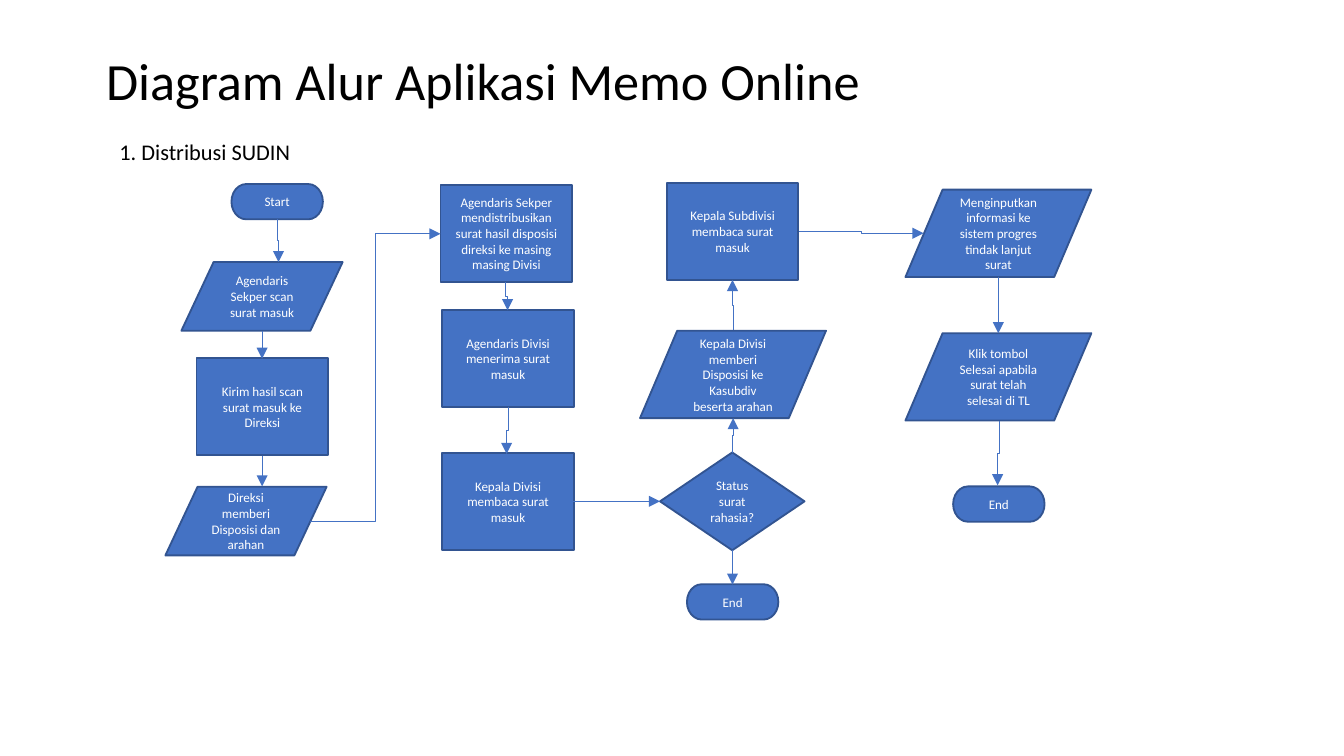
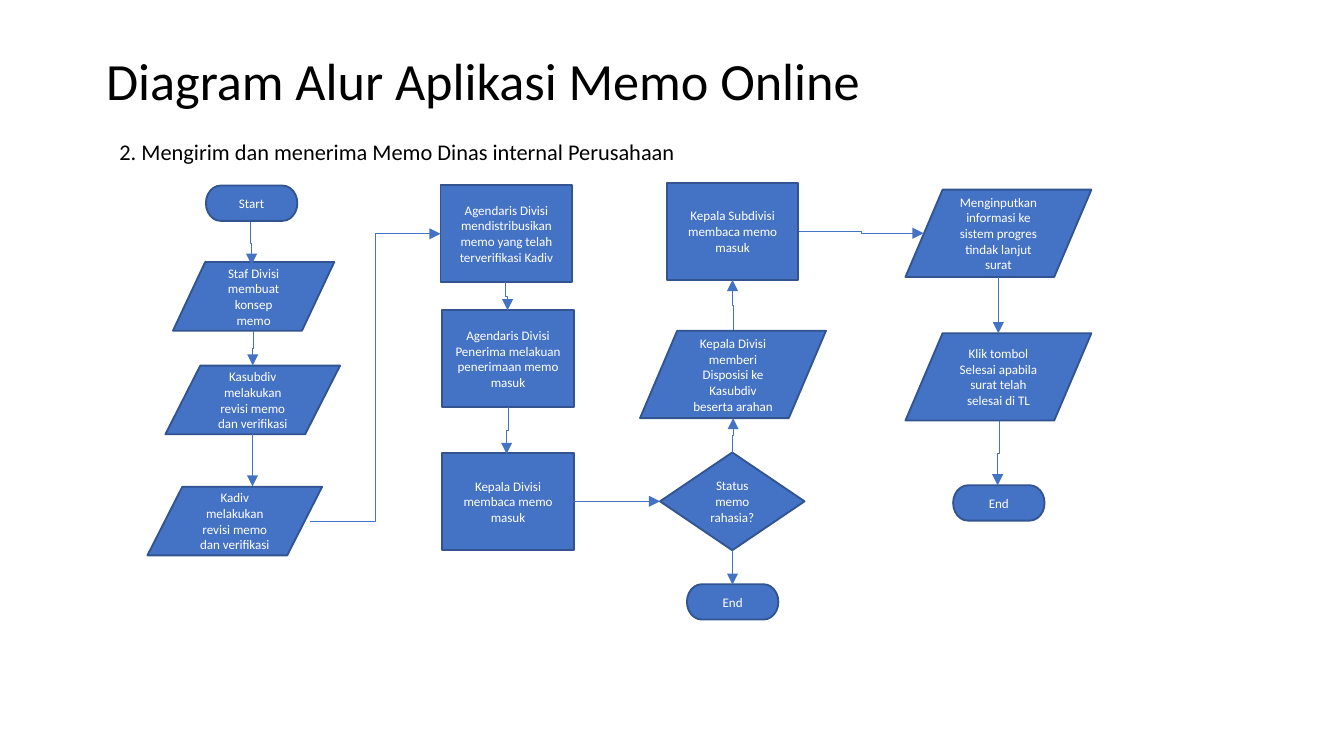
from lxml.etree import SubElement
from pptx import Presentation
from pptx.dml.color import RGBColor
from pptx.enum.shapes import MSO_CONNECTOR as CONN, MSO_SHAPE as SHAPE
from pptx.enum.text import MSO_ANCHOR as ANCHOR, MSO_AUTO_SIZE as AUTO, PP_ALIGN as ALIGN
from pptx.oxml.ns import qn
from pptx.util import Pt

# Shared style
BLUE, EDGE, BLACK, WHITE = "4472C4", "325491", "000000", "FFFFFF"
TITLE = "Diagram Alur Aplikasi Memo Online"
TITLE_BOX = (49.7, 21.6, 572.4, 46.8)
SUBTITLE_AT, SUBTITLE_H = (56.9, 70.6), 21.6

# Kind of step: preset shape, width, height
KINDS = {
    "terminal": (SHAPE.FLOWCHART_TERMINATOR, 49, 18.9),
    "process": (SHAPE.FLOWCHART_PROCESS, 70.5, 52),
    "decision": (SHAPE.FLOWCHART_DECISION, 77.4, 52.4),
    "data": (SHAPE.FLOWCHART_DATA, 86.4, 36.8),
    "wide data": (SHAPE.FLOWCHART_DATA, 93.6, 36.8),
    "tall data": (SHAPE.FLOWCHART_DATA, 99.6, 46.8),
}

# Steps on every slide: kind, left, top, text ({item} is the document handled)
COMMON_STEPS = [
    ("process", 236.9, 242.8, "Kepala Divisi membaca {item} masuk"),
    ("decision", 353.6, 242.4, "Status {item} rahasia?"),
    ("terminal", 368, 313, "End"),
    ("tall data", 342.9, 177.2, "Kepala Divisi memberi Disposisi ke Kasubdiv beserta arahan"),
    ("process", 357.2, 98, "Kepala Subdivisi membaca {item} masuk"),
    ("tall data", 485.1, 101.6, "Menginputkan informasi ke sistem progres tindak lanjut surat"),
    ("tall data", 485.1, 178.5, "Klik tombol Selesai apabila surat telah selesai di TL"),
]

# Arrows: start x, start y, end x, end y
COMMON_ARROWS = [
    (166.3, 279.3, 236, 125.3),
    (270.9, 151.2, 271.9, 166.2),
    (272.2, 218.2, 271.4, 243.2),
    (306.9, 268.6, 353.6, 268.6),
    (392.4, 294.8, 392.4, 313.2),
    (392.4, 242.6, 392.8, 224),
    (392.8, 177.1, 392.4, 150),
    (427.8, 123.8, 494.8, 125),
    (534.8, 148.5, 534.8, 178.6),
    (535.2, 225.4, 534.4, 260),
]

SLIDES = [
    {
        "subtitle": "1. Distribusi SUDIN", "width": 110.2, "item": "surat",
        "steps": [
            ("terminal", 124, 98.6, "Start"),
            ("data", 97.2, 140.4, "Agendaris Sekper scan surat masuk"),
            ("process", 105.3, 192, "Kirim hasil scan surat masuk ke Direksi"),
            ("data", 88.6, 260.8, "Direksi memberi Disposisi dan arahan"),
            ("process", 236, 99, "Agendaris Sekper mendistribusikan surat hasil disposisi "
                                 "direksi ke masing masing Divisi"),
            ("process", 236.9, 166.2, "Agendaris Divisi menerima surat masuk"),
            ("terminal", 510.6, 260.6, "End"),
        ],
        "arrows": [
            (148.5, 117.4, 149.2, 140.4),
            (140.4, 177.1, 140.4, 192.2),
            (140.6, 244.1, 140.4, 260.6),
        ],
    },
    {
        "subtitle": "2. Mengirim dan menerima Memo Dinas internal Perusahaan",
        "width": 314.6, "item": "memo",
        "steps": [
            ("terminal", 110.3, 99.4, "Start"),
            ("data", 92.7, 140.4, "Staf Divisi membuat konsep memo"),
            ("wide data", 88.6, 195.9, "Kasubdiv melakukan revisi memo dan verifikasi"),
            ("wide data", 79, 260.8, "Kadiv melakukan revisi memo dan verifikasi"),
            ("process", 236, 99, "Agendaris Divisi mendistribusikan memo yang telah "
                                 "terverifikasi Kadiv"),
            ("process", 236.9, 166.2, "Agendaris Divisi Penerima melakuan penerimaan memo masuk"),
            ("terminal", 510.6, 260, "End"),
        ],
        "arrows": [
            (134.3, 118.8, 134.8, 141.8),
            (135.6, 177.1, 135.4, 195.8),
            (135.3, 232.6, 135.3, 260.6),
        ],
    },
]


def rgb(value):
    return RGBColor.from_string(value)


def pts(*values):
    return [Pt(v) for v in values]


def write(sp, text, size, color, para=None, **frame):
    """Put one formatted paragraph into a shape."""
    tf = sp.text_frame
    for name, value in frame.items():
        setattr(tf, name, value)
    p = tf.paragraphs[0]
    for name, value in (para or {}).items():
        setattr(p, name, value)
    r = p.add_run()
    r.text = text
    for name, value in {"name": "Calibri", "size": Pt(size)}.items():
        setattr(r.font, name, value)
    r.font.color.rgb = rgb(color)


def add_step(s, kind, left, top, text):
    preset, width, height = KINDS[kind]
    sp = s.shapes.add_shape(preset, *pts(left, top, width, height))
    sp.shadow.inherit = False
    sp.fill.solid()
    sp.fill.fore_color.rgb = rgb(BLUE)
    sp.line.color.rgb = rgb(EDGE)
    sp.line.width = Pt(1)
    write(sp, text, 7, WHITE, {"alignment": ALIGN.CENTER},
          word_wrap=True, vertical_anchor=ANCHOR.MIDDLE)


def add_arrow(s, x1, y1, x2, y2):
    """Elbow arrow; one that leaves vertically is laid flat, then rotated."""
    dx, dy = x2 - x1, y2 - y1
    vertical = abs(dx) < 2
    if vertical:
        cx, cy = (x1 + x2) / 2, (y1 + y2) / 2
        half = abs(dy) / 2
        rise = -dx / 2 if dy > 0 else dx / 2
        x1, y1, x2, y2 = cx - half, cy - rise, cx + half, cy + rise
    c = s.shapes.add_connector(CONN.ELBOW, *pts(x1, y1, x2, y2))
    c.line.color.rgb = rgb(BLUE)
    c.line.width = Pt(0.5)
    pr = c._element.spPr
    if vertical:
        pr.find(qn("a:xfrm")).set("rot", str((90 if dy > 0 else 270) * 60000))
    SubElement(pr.find(qn("a:ln")), qn("a:tailEnd"), type="triangle")
    SubElement(pr, qn("a:effectLst"))


def add_headings(s, subtitle, width):
    title = s.shapes.title
    title.left, title.top, title.width, title.height = pts(*TITLE_BOX)
    write(title, TITLE, 28, BLACK, {"alignment": ALIGN.LEFT, "line_spacing": 0.9},
          word_wrap=True, vertical_anchor=ANCHOR.MIDDLE, auto_size=AUTO.NONE)
    box = s.shapes.add_textbox(*pts(*SUBTITLE_AT, width, SUBTITLE_H))
    write(box, subtitle, 12, BLACK, word_wrap=False, auto_size=AUTO.SHAPE_TO_FIT_TEXT)


def main():
    prs = Presentation()
    prs.slide_width, prs.slide_height = pts(720, 405)
    for flow in SLIDES:
        s = prs.slides.add_slide(prs.slide_layouts[5])
        add_headings(s, flow["subtitle"], flow["width"])
        for kind, left, top, text in flow["steps"] + COMMON_STEPS:
            add_step(s, kind, left, top, text.format(item=flow["item"]))
        for arrow in flow["arrows"] + COMMON_ARROWS:
            add_arrow(s, *arrow)
    prs.save("out.pptx")


if __name__ == "__main__":
    main()
